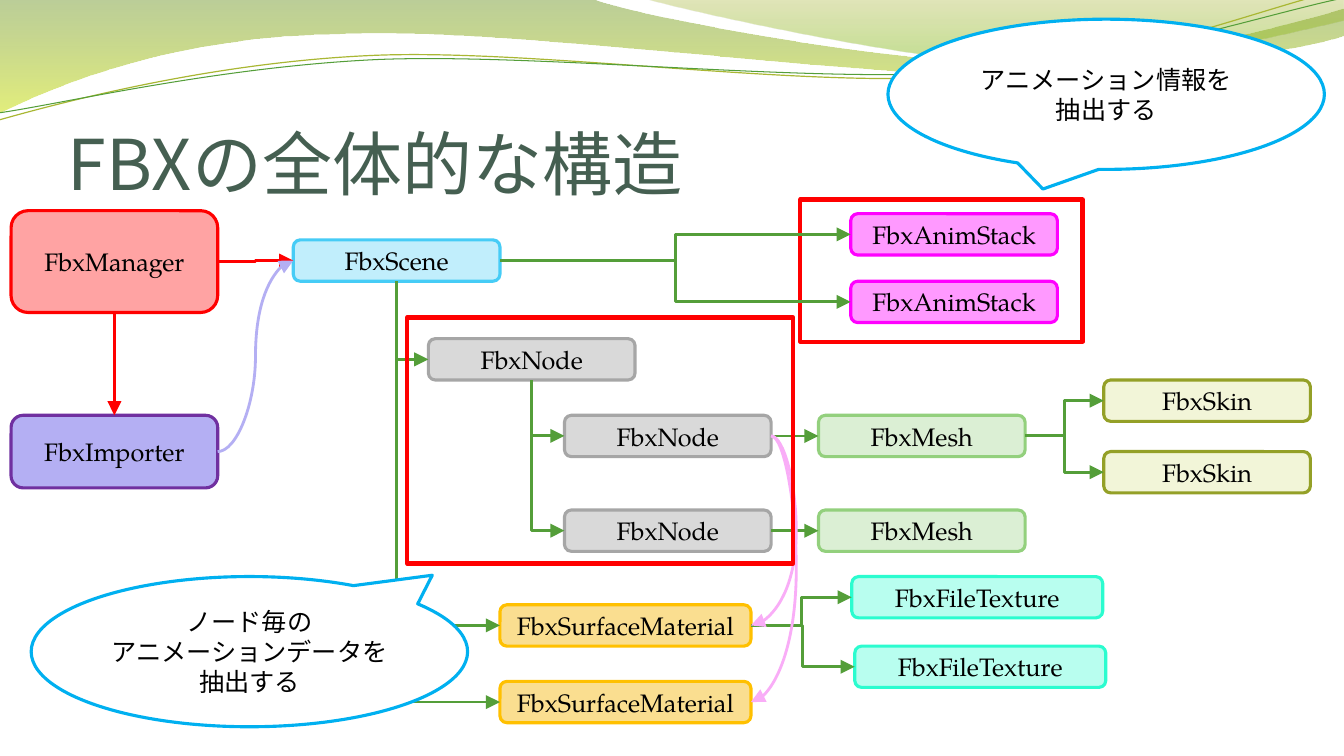
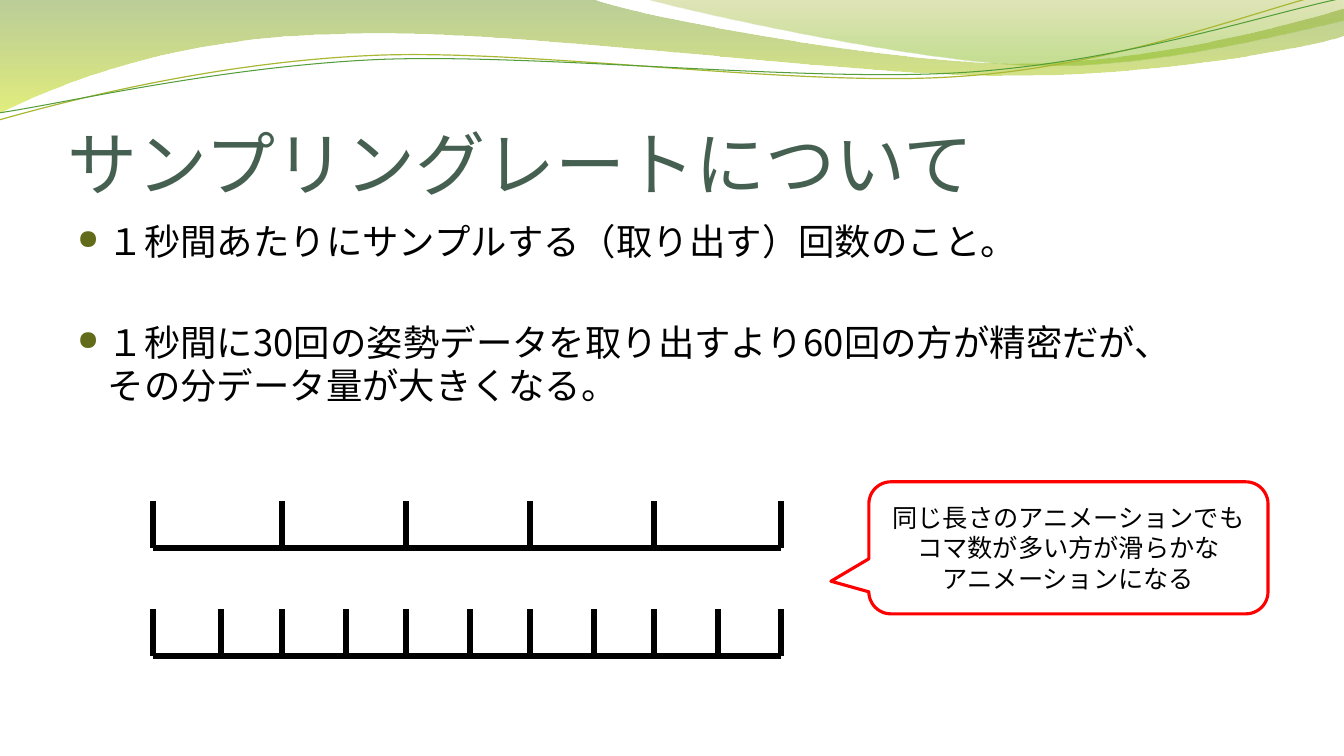
from lxml.etree import SubElement
from pptx import Presentation
from pptx.dml.color import RGBColor
from pptx.enum.shapes import MSO_CONNECTOR, MSO_SHAPE
from pptx.enum.text import MSO_ANCHOR, PP_ALIGN
from pptx.oxml.ns import qn
from pptx.util import Inches, Pt

HUES = {
    "title": "455F51", "text": "000000", "white": "FFFFFF", "bullet": "626B1A",
    "green": "549E39", "olive": "A9B733", "red": "FF0000", "blue": "00B0F0",
    "lilac": "B4AFF3", "pink": "F9ADF7",
}
# Fill and line of each kind of box
KINDS = {
    "FbxManager": ("FFA3A3", "FF0000"), "FbxImporter": ("B4AFF3", "7030A0"),
    "FbxScene": ("C1EEFC", "46CCF6"), "FbxNode": ("D9D9D9", "A6A6A6"),
    "FbxMesh": ("DBEFD4", "93D07D"), "FbxSkin": ("F2F5D8", "94A027"),
    "FbxSurfaceMaterial": ("FADE90", "FFC000"),
    "FbxFileTexture": ("B8FEEF", "2BFCCF"), "FbxAnimStack": ("FF99FF", "FF00FF"),
}
SANS, SERIF = "Noto Sans CJK JP", "TeX Gyre Pagella"

# Waves: start, then lines (2 numbers) and curves (6 numbers)
BANDS = [
    ((0, 0), [(5.87, -0.01), (6.34, 0.17, 8.84, 0.63, 10.11, 0.63),
              (11.37, 0.63, 12.77, 0.26, 13.33, 0.09), (13.34, 0.36),
              (13.11, 0.44, 11.59, 0.76, 9.94, 0.75),
              (8.29, 0.75, 5.09, 0.28, 3.43, 0.34),
              (1.72, 0.36, 0.61, 0.83, -0.02, 1.13)],
     [(0, "69921C", 45), (1, "CCE10F", 55)]),
    ((6.38, -0.01), [(6.79, 0.11, 9.09, 0.62, 10.25, 0.65),
                     (11.4, 0.69, 12.82, 0.32, 13.33, 0.21), (13.33, 0)],
     [(0, "9BAA1A", 30), (0.8, "81BA16", 45)]),
    ((-0.01, 1.19), [(0.63, 1.01, 2.1, 0.62, 3.69, 0.55),
                     (5.27, 0.48, 7.89, 0.87, 9.49, 0.76),
                     (11.1, 0.66, 12.51, 0.08, 13.3, -0.1)], ("olive", 0.85)),
    ((-0.01, 1.12), [(0.62, 1.03, 2.18, 0.66, 3.77, 0.59),
                     (5.37, 0.53, 7.96, 0.82, 9.55, 0.72),
                     (11.14, 0.62, 12.55, 0.14, 13.33, -0.02)], ("green", 0.75)),
]


def write(para, text, size, font, hue="text"):
    run = para.add_run()
    run.text = text
    run.font.size = Pt(size)
    run.font.name = font
    run.font.color.rgb = RGBColor.from_string(HUES[hue])
    SubElement(run.font._element, qn("a:ea"), typeface=SANS)


def box(slide, kind, area, fill, line, width=2.25, lines=(), adjust=()):
    shape = slide.shapes.add_shape(kind, *map(Inches, area))
    shape.shadow.inherit = False
    if fill:
        shape.fill.solid()
        shape.fill.fore_color.rgb = RGBColor.from_string(fill)
    else:
        shape.fill.background()
    shape.line.color.rgb = RGBColor.from_string(line)
    shape.line.width = Pt(width)
    for i, value in enumerate(adjust):
        shape.adjustments[i] = value
    frame = shape.text_frame
    frame.vertical_anchor = MSO_ANCHOR.MIDDLE
    for i, text in enumerate(lines):
        para = frame.add_paragraph() if i else frame.paragraphs[0]
        para.alignment = PP_ALIGN.CENTER
        write(para, text, 18, SERIF)
    return shape


deck = Presentation()
deck.slide_width, deck.slide_height = Inches(40 / 3), Inches(7.5)

# Shared waves and titles
for title in ("FBXの全体的な構造", "サンプリングレートについて"):
    slide = deck.slides.add_slide(deck.slide_layouts[6])
    for start, parts, style in BANDS:
        dots = [(Inches(part[i]), Inches(part[i + 1]))
                for part in parts for i in range(0, len(part), 2)]
        closed = isinstance(style, list)
        maker = slide.shapes.build_freeform(*map(Inches, start))
        maker.add_line_segments(dots, close=closed)
        wave = maker.convert_to_shape()
        wave.shadow.inherit = False
        # Join the three points of each curve into one segment
        legs = iter(list(wave._element.iter(qn("a:lnTo"))))
        for part in parts:
            leg = next(legs)
            if len(part) == 6:
                leg.tag = qn("a:cubicBezTo")
                for extra in (next(legs), next(legs)):
                    leg.append(extra[0])
                    extra.getparent().remove(extra)
        if closed:
            wave.line.fill.background()
            wave.fill.gradient()
            wave.fill.gradient_angle = 270
            for stop, (place, tone, alpha) in zip(wave.fill.gradient_stops, style):
                stop.position = place
                stop.color.rgb = RGBColor.from_string(tone)
            for tint, (place, tone, alpha) in zip(wave._element.iter(qn("a:srgbClr")), style):
                SubElement(tint, qn("a:alpha"), val=str(alpha * 1000))
        else:
            wave.fill.background()
            wave.line.color.rgb = RGBColor.from_string(HUES[style[0]])
            wave.line.width = Pt(style[1])
    frame = slide.shapes.add_textbox(*map(Inches, (0.67, 0.77, 12, 1.25))).text_frame
    frame.word_wrap = True
    frame.vertical_anchor = MSO_ANCHOR.BOTTOM
    frame.margin_left = frame.margin_right = frame.margin_bottom = 0
    frame.paragraphs[0].line_spacing = 0.8
    write(frame.paragraphs[0], title, 50, SANS, "title")

tree, rate = deck.slides

# Slide 1: boxes, with the frame of the animation stacks behind them
box(tree, MSO_SHAPE.RECTANGLE, (7.94, 1.98, 2.8, 1.41), None, HUES["red"], 3)
nodes = {}
for key, name, x, y, w, h in (
    ("manager", "FbxManager", 0.11, 2.09, 2.05, 1.01),
    ("importer", "FbxImporter", 0.11, 4.12, 2.05, 0.72),
    ("scene", "FbxScene", 2.91, 2.38, 2.05, 0.41),
    ("root", "FbxNode", 4.25, 3.36, 2.05, 0.41),
    ("node1", "FbxNode", 5.6, 4.12, 2.05, 0.41),
    ("node2", "FbxNode", 5.6, 5.06, 2.05, 0.41),
    ("mesh1", "FbxMesh", 8.12, 4.12, 2.05, 0.41),
    ("mesh2", "FbxMesh", 8.12, 5.06, 2.05, 0.41),
    ("skin1", "FbxSkin", 10.95, 3.77, 2.05, 0.41),
    ("skin2", "FbxSkin", 10.95, 4.48, 2.05, 0.41),
    ("mat1", "FbxSurfaceMaterial", 4.96, 6, 2.49, 0.41),
    ("mat2", "FbxSurfaceMaterial", 4.96, 6.76, 2.49, 0.41),
    ("tex1", "FbxFileTexture", 8.45, 5.72, 2.49, 0.41),
    ("tex2", "FbxFileTexture", 8.48, 6.41, 2.49, 0.41),
    ("anim1", "FbxAnimStack", 8.44, 2.12, 2.05, 0.41),
    ("anim2", "FbxAnimStack", 8.44, 2.79, 2.05, 0.41),
):
    nodes[key] = box(tree, MSO_SHAPE.ROUNDED_RECTANGLE, (x, y, w, h), *KINDS[name], lines=[name])

# Links start at the arrowhead; sites are 0 top, 1 left, 2 bottom, 3 right
TOP, LEFT, BASE, RIGHT = range(4)
STEP, BEND, BOW = MSO_CONNECTOR.ELBOW, "bentConnector2", MSO_CONNECTOR.CURVE
links = [("importer", TOP, "manager", BASE, MSO_CONNECTOR.STRAIGHT, "red"),
         ("scene", LEFT, "manager", RIGHT, STEP, "red"),
         ("scene", LEFT, "importer", RIGHT, BOW, "lilac")]
for src, dests in (("scene", "root mat1 mat2"), ("root", "node1 node2")):
    links += [(dst, LEFT, src, BASE, BEND, "green") for dst in dests.split()]
for src, dests in (("scene", "anim1 anim2"), ("node1", "mesh1"), ("node2", "mesh2"),
                   ("mesh1", "skin1 skin2"), ("mat1", "tex1 tex2")):
    links += [(dst, LEFT, src, RIGHT, STEP, "green") for dst in dests.split()]
links += [(dst, RIGHT, "node1", RIGHT, BOW, "pink") for dst in ("mat2", "mat1")]
for dst, into, src, out, kind, hue in links:
    link = tree.shapes.add_connector(STEP if kind == BEND else kind, 0, 0, 0, 0)
    link.begin_connect(nodes[dst], into)
    link.end_connect(nodes[src], out)
    link.line.color.rgb = RGBColor.from_string(HUES[hue])
    link.line.width = Pt(2)
    SubElement(link.line._get_or_add_ln(), qn("a:headEnd"), type="triangle", w="lg", len="lg")
    geom = link._element.spPr.find(qn("a:prstGeom"))
    if kind == BEND:
        geom.set("prst", BEND)
    elif hue == "pink":
        bulge = geom.find(qn("a:avLst"))
        SubElement(bulge, qn("a:gd"), name="adj1", fmla="val 225000")

# Frame of the nodes, and the callouts
box(tree, MSO_SHAPE.RECTANGLE, (4.04, 3.15, 3.83, 2.44), None, HUES["red"], 3)
for area, adjust, lines in (
    ((8.81, 0.19, 4.33, 1.49), (-0.145, 0.631), ("アニメーション情報を", "抽出する")),
    ((0.31, 5.72, 4.33, 1.49), (0.419, -0.509),
     ("ノード毎の", "アニメーションデータを", "抽出する")),
):
    box(tree, MSO_SHAPE.OVAL_CALLOUT, area, HUES["white"], HUES["blue"],
        lines=lines, adjust=adjust)

# Slide 2: bullets
frame = rate.shapes.add_textbox(*map(Inches, (0.67, 2.12, 12, 4.75))).text_frame
frame.word_wrap = True
for i, lines in enumerate((
    ("１秒間あたりにサンプルする（取り出す）回数のこと。",),
    ("１秒間に30回の姿勢データを取り出すより60回の方が精密だが、", "その分データ量が大きくなる。"),
)):
    para = frame.add_paragraph() if i else frame.paragraphs[0]
    if i:
        para.space_before = Pt(41)
    props = para._p.get_or_add_pPr()
    props.set("marL", str(Inches(0.3)))
    props.set("indent", str(-Inches(0.3)))
    tint = SubElement(props, qn("a:buClr"))
    SubElement(tint, qn("a:srgbClr"), val=HUES["bullet"])
    SubElement(props, qn("a:buSzPct"), val="75000")
    SubElement(props, qn("a:buChar"), char="●")
    for j, text in enumerate(lines):
        if j:
            para.add_line_break()
        write(para, text, 26, SANS)

# Time lines: the upper one has every other tick
TICKS = [1.52, 2.19, 2.8, 3.43, 4.03, 4.66, 5.26, 5.89, 6.49, 7.12, 7.75]
for base, marks in ((6.51, TICKS), (5.44, TICKS[::2])):
    rule = [(marks[0], base, marks[-1], base)]
    for ends in rule + [(x, base - 0.47, x, base) for x in marks]:
        line = rate.shapes.add_connector(MSO_CONNECTOR.STRAIGHT, *map(Inches, ends))
        line.line.color.rgb = RGBColor.from_string(HUES["text"])
        line.line.width = Pt(4.5)

box(rate, MSO_SHAPE.ROUNDED_RECTANGULAR_CALLOUT, (8.62, 4.78, 3.96, 1.31),
    HUES["white"], HUES["red"], adjust=(-0.595, 0.253, 0.167),
    lines=("同じ長さのアニメーションでも", "コマ数が多い方が滑らかな", "アニメーションになる"))

# Lines cast no shadow
for slide in deck.slides:
    for item in slide.shapes:
        if item._element.tag == qn("p:cxnSp"):
            SubElement(item._element.spPr, qn("a:effectLst"))

deck.save("out.pptx")
